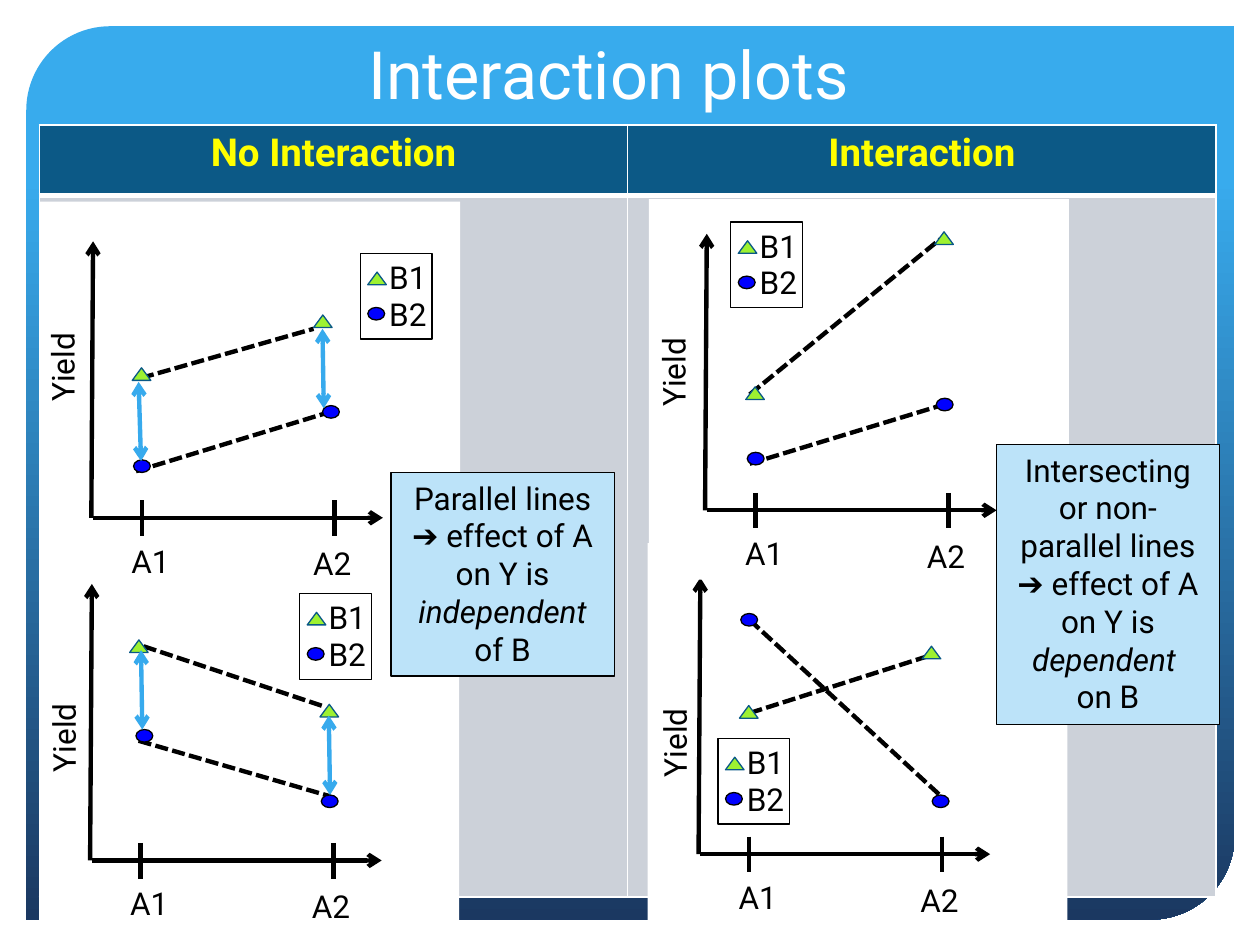
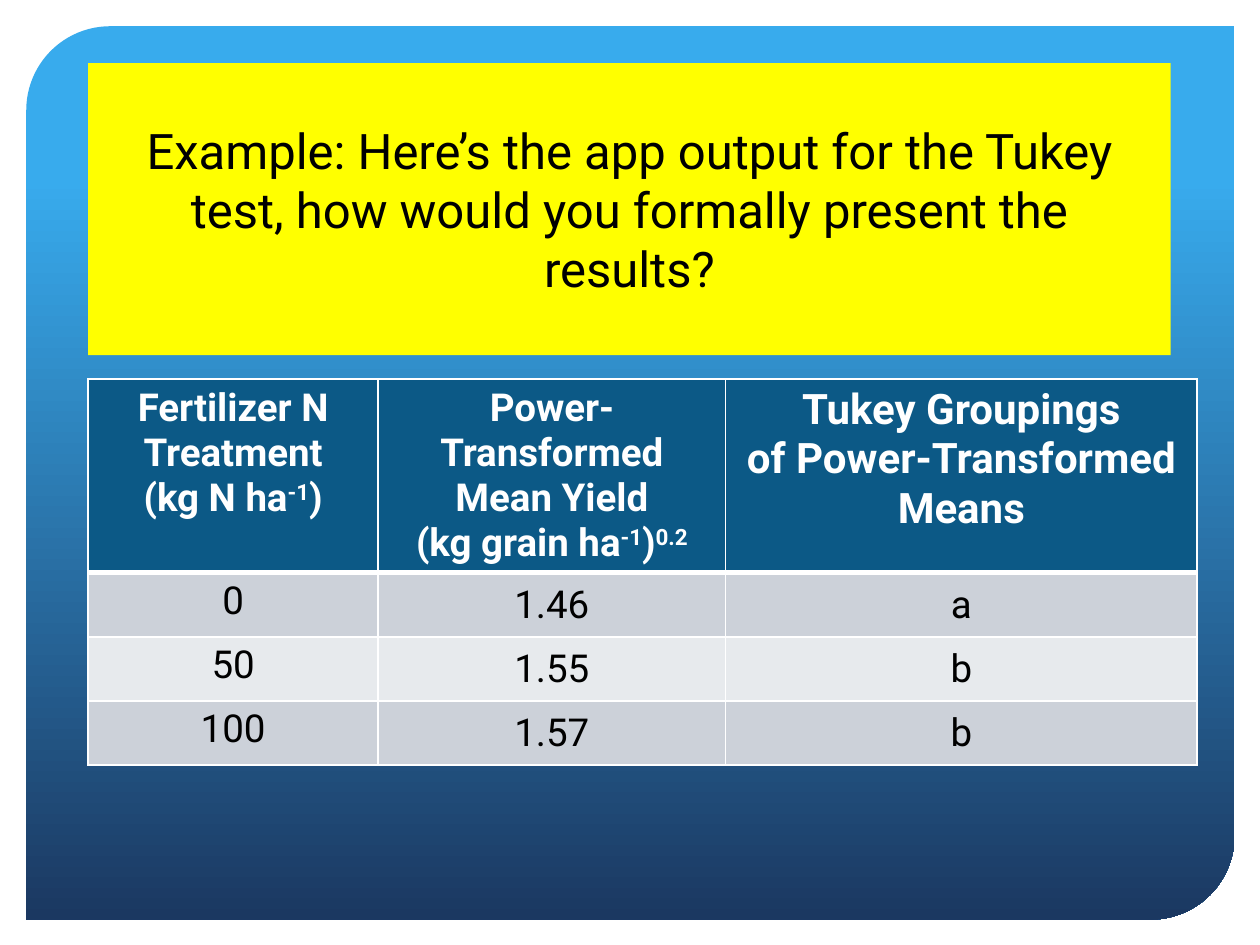
import dataclasses

import pptx
import pptx.dml.color
import pptx.enum.dml
import pptx.enum.shapes
import pptx.enum.text
import pptx.oxml
import pptx.oxml.ns
import pptx.util

Pt = pptx.util.Pt
RGBColor = pptx.dml.color.RGBColor
SHAPE = pptx.enum.shapes.MSO_SHAPE
ALIGN = pptx.enum.text.PP_ALIGN
ANCHOR = pptx.enum.text.MSO_ANCHOR

FONT = "Roboto"
BLACK = RGBColor(0, 0, 0)
WHITE = RGBColor(0xFF, 0xFF, 0xFF)
YELLOW = RGBColor(0xFF, 0xFF, 0)
SKY = RGBColor(0x38, 0xAB, 0xED)
NAVY = RGBColor(0x1B, 0x38, 0x61)
GAP_BLUE = RGBColor(0x37, 0xAA, 0xED)
HEADER_BLUE = RGBColor(0x0C, 0x59, 0x86)
GREY = RGBColor(0xCC, 0xD1, 0xD9)
PALE_GREY = RGBColor(0xE7, 0xEA, 0xED)
PALE_BLUE = RGBColor(0xBC, 0xE3, 0xF9)
GREEN = RGBColor(0x9D, 0xF1, 0x31)
GREEN_EDGE = RGBColor(0x09, 0x58, 0x86)
BLUE = RGBColor(0, 0, 0xFF)


@dataclasses.dataclass
class Plot:
    """One interaction plot; every point is relative to the panel's corner."""
    panel: tuple
    axis: tuple
    yield_at: tuple
    legend: tuple
    b1_line: tuple
    b2_line: tuple
    b1_marks: tuple
    b2_marks: tuple
    gaps: tuple = ()


PLOTS = [
    Plot((370, 310.3), (30.2, 177.8), (-26.6, 84.2), (40.3, 111.6),
         (58.3, 97.2, 159.8, 64.8), (58.3, 43.9, 167, 144),
         ((52.6, 92.9), (157, 59)), ((53.3, 40.3), (162.7, 144))),
    Plot((370.8, 113.8), (33.1, 177.8), (-28.1, 69.1), (46.8, 13),
         (57.6, 111.6, 166.3, 23), (57.6, 151.2, 168.5, 117.4),
         ((55.4, 107.3), (163.4, 18.7)), ((56.2, 144.7), (164.2, 113.8))),
    Plot((22.3, 313.9), (30.2, 177.8), (-28.1, 77.8), (149, 25.2),
         (59.8, 55.4, 163.4, 90), (56.9, 109.4, 166.3, 141.1),
         ((51.8, 51.8), (160.6, 88.6)), ((55.4, 103), (161.3, 140.4)),
         ((58.3, 57.6, 59, 103), (165.6, 95, 166.3, 140.4))),
    Plot((23, 115.2), (30.2, 180.7), (-29.5, 64.8), (182.9, 29.5),
         (57.6, 100.8, 156.2, 72.7), (54.7, 154.1, 165.6, 120.2),
         ((52.6, 95), (156.2, 64.8)), ((53.3, 147.6), (161.3, 116.6)),
         ((56.2, 103, 57.6, 148.3), (161.3, 72.7, 162, 118.1))),
]


def pts(*lengths):
    """Turn numbers into point lengths."""
    return [Pt(length) for length in lengths]


def style(paragraph, size, color=BLACK, bold=False, align=None):
    """Format a whole paragraph."""
    paragraph.alignment = align
    font = paragraph.font
    font.name, font.size, font.bold = FONT, Pt(size), bold
    font.color.rgb = color


def add_box(slide, kind, box, fill=None, edge=None):
    """Add a preset shape with an optional fill and thin outline."""
    shape = slide.shapes.add_shape(kind, *pts(*box))
    shape.shadow.inherit = False
    if fill is None:
        shape.fill.background()
    else:
        shape.fill.solid()
        shape.fill.fore_color.rgb = fill
    if edge is None:
        shape.line.fill.background()
    else:
        shape.line.color.rgb = edge
        shape.line.width = Pt(0.75)
    return shape


def add_line(slide, ends, color=BLACK, dashed=False, arrows=()):
    """Add a straight line, with arrowheads at the ends named in arrows."""
    straight = pptx.enum.shapes.MSO_CONNECTOR.STRAIGHT
    connector = slide.shapes.add_connector(straight, *pts(*ends))
    connector.line.color.rgb = color
    connector.line.width = Pt(2.5)
    if dashed:
        connector.line.dash_style = pptx.enum.dml.MSO_LINE.SQUARE_DOT
    properties = connector.element.spPr
    outline = properties.find(pptx.oxml.ns.qn("a:ln"))
    for end in arrows:
        outline.append(pptx.oxml.parse_xml(
            f'<a:{end} {pptx.oxml.ns.nsdecls("a")} type="arrow"/>'))
    properties.append(pptx.oxml.parse_xml(
        f'<a:effectLst {pptx.oxml.ns.nsdecls("a")}/>'))


def add_label(slide, text, left, top, width=46.8, rotation=0):
    """Add a one-line plot label."""
    label = slide.shapes.add_textbox(*pts(left, top, width, 29))
    label.rotation = rotation
    label.text_frame.word_wrap = True
    label.text_frame.text = text
    style(label.text_frame.paragraphs[0], 18)


def add_b1_mark(slide, left, top):
    """Add the green triangle of series B1."""
    add_box(slide, SHAPE.ISOSCELES_TRIANGLE, (left, top, 10.6, 7.2), GREEN, GREEN_EDGE)


def add_b2_mark(slide, left, top):
    """Add the blue dot of series B2."""
    add_box(slide, SHAPE.OVAL, (left, top, 9.6, 7.2), BLUE, BLACK)


def add_legend(slide, left, top):
    """Add the boxed key of the two series."""
    add_label(slide, "B1", left + 9.4, top - 0.7)
    add_label(slide, "B2", left + 9.4, top + 20.2)
    add_b1_mark(slide, left + 4.3, top + 10.8)
    add_b2_mark(slide, left + 4.3, top + 31)
    add_box(slide, SHAPE.RECTANGLE, (left, top, 41, 49), edge=BLACK)


def add_plot(slide, plot):
    """Draw one plot: panel, axes, series, marks, legend and gap arrows."""
    left, top = plot.panel

    def shift(points):
        return [value + (left, top)[i % 2] for i, value in enumerate(points)]

    add_box(slide, SHAPE.RECTANGLE, (left, top, 240, 217.4), WHITE)
    x, y = shift(plot.axis)
    add_line(slide, (x, y, x + 165.6, y), arrows=["tailEnd"])
    add_line(slide, (x - 1, y, x, y - 158), arrows=["tailEnd"])
    for series in (plot.b1_line, plot.b2_line):
        add_line(slide, shift(series), dashed=True)
    for level, tick, label_x, label_y in (("A1", 27.8, 14.8, 10.1), ("A2", 138, 118.6, 11.5)):
        add_line(slide, (x + tick, y - 10, x + tick, y + 10.4))
        add_label(slide, level, x + label_x, y + label_y)
    add_label(slide, "Yield", *shift(plot.yield_at), width=84.2, rotation=270)
    for mark in plot.b1_marks:
        add_b1_mark(slide, *shift(mark))
    for mark in plot.b2_marks:
        add_b2_mark(slide, *shift(mark))
    add_legend(slide, *shift(plot.legend))
    for gap in plot.gaps:
        add_line(slide, shift(gap), GAP_BLUE, arrows=["headEnd", "tailEnd"])


def add_callout(slide, box, paragraphs):
    """Add a pale blue note; each paragraph lists (text, italic) pairs."""
    callout = add_box(slide, SHAPE.RECTANGLE, box, PALE_BLUE, BLACK)
    frame = callout.text_frame
    frame.word_wrap = True
    frame.vertical_anchor = ANCHOR.TOP
    for i, pieces in enumerate(paragraphs):
        paragraph = frame.add_paragraph() if i else frame.paragraphs[0]
        style(paragraph, 18, align=ALIGN.CENTER)
        for text, italic in pieces:
            run = paragraph.add_run()
            run.text = text
            run.font.italic = italic


def set_title(slide, text, box, size, color, anchor):
    """Place and format the title placeholder."""
    title = slide.shapes.title
    title.left, title.top, title.width, title.height = pts(*box)
    frame = title.text_frame
    frame.text = text
    frame.word_wrap = True
    frame.auto_size = pptx.enum.text.MSO_AUTO_SIZE.NONE
    frame.vertical_anchor = anchor
    style(frame.paragraphs[0], size, color, align=ALIGN.CENTER)
    return title


def format_cell(cell, fill, bottom=1):
    """Give a cell white borders and a fill."""
    properties = cell._tc.get_or_add_tcPr()
    for side, width in (("L", 1), ("R", 1), ("T", 1), ("B", bottom)):
        properties.append(pptx.oxml.parse_xml(
            f'<a:ln{side} {pptx.oxml.ns.nsdecls("a")} w="{Pt(width)}">'
            f'<a:solidFill><a:srgbClr val="{WHITE}"/></a:solidFill></a:ln{side}>'))
    cell.fill.solid()
    cell.fill.fore_color.rgb = fill


def fill_cell(cell, lines, size, color=BLACK, bold=False):
    """Write centred lines; the text after each ^ up to the next one is raised."""
    for i, line in enumerate(lines):
        paragraph = cell.text_frame.add_paragraph() if i else cell.text_frame.paragraphs[0]
        style(paragraph, size, color, bold, ALIGN.CENTER)
        for j, piece in enumerate(line.split("^")):
            if piece:
                run = paragraph.add_run()
                run.text = piece
                if j % 2:
                    run._r.get_or_add_rPr().set("baseline", "30000")


def add_grid(slide, box, widths, heights):
    """Add a table with the given column widths and row heights."""
    table = slide.shapes.add_table(len(heights), len(widths), *pts(*box)).table
    for column, width in zip(table.columns, widths):
        column.width = Pt(width)
    for row, height in zip(table.rows, heights):
        row.height = Pt(height)
    return table


def add_backdrop(master, slide):
    """Put the gradient panel on the slide master."""
    backdrop = add_box(slide, SHAPE.ROUND_2_DIAG_RECTANGLE, (15, 15, 690.5, 510.5), SKY)
    backdrop.adjustments[0], backdrop.adjustments[1] = 0.094, 0
    backdrop.fill.gradient()
    backdrop.fill.gradient_angle = 270
    for stop, position, color in zip(backdrop.fill.gradient_stops, (0.17, 1), (SKY, NAVY)):
        stop.position = position
        stop.color.rgb = color
    master.shapes.element.insert(2, backdrop.element)


def build_interaction_slide(slide):
    """Compare plots without and with interaction."""
    set_title(slide, "Interaction plots ", (54, 15, 597, 82), 38, WHITE, ANCHOR.TOP)
    table = add_grid(slide, (22.5, 71.3, 672.4, 441.4), (336.2, 336.2), (40.3, 401))
    for column, heading in enumerate(("No Interaction", "Interaction")):
        format_cell(table.cell(0, column), HEADER_BLUE, bottom=3)
        fill_cell(table.cell(0, column), [heading], 22, YELLOW, True)
        format_cell(table.cell(1, column), GREY)
    for plot in PLOTS:
        add_plot(slide, plot)
    add_callout(slide, (223.4, 270, 127.6, 116.4), [
        [("Parallel lines ➔ effect of A on Y is ", False),
         ("independent ", True), ("of B", False)]])
    add_callout(slide, (569.3, 254, 127.6, 160), [
        [("Intersecting or non-parallel lines ➔ effect of A on Y is ", False),
         ("dependent ", True)],
        [("on B", False)]])


def build_tukey_slide(slide):
    """Show the Tukey output table under its question."""
    question = set_title(
        slide, "Example: Here’s the app output for the Tukey test, "
        "how would you formally present the results?",
        (50.4, 36, 618.5, 167), 28, BLACK, ANCHOR.MIDDLE)
    question.fill.solid()
    question.fill.fore_color.rgb = YELLOW
    headings = [(["Fertilizer N Treatment", "(kg N ha^-1^)"], 22),
                (["Power-Transformed Mean Yield", "(kg grain ha^-1^)^0.2^"], 22),
                (["Tukey Groupings", "of Power-Transformed Means"], 24)]
    results = [("0", "1.46", "a"), ("50", "1.55", "b"), ("100", "1.57", "b")]
    table = add_grid(slide, (50.4, 216.7, 633.6, 220.4), (165.6, 198.7, 269.3),
                     (110.6, 36.6, 36.6, 36.6))
    for column, (lines, size) in enumerate(headings):
        format_cell(table.cell(0, column), HEADER_BLUE, bottom=3)
        fill_cell(table.cell(0, column), lines, size, WHITE, True)
    for row, values in enumerate(results, 1):
        for column, value in enumerate(values):
            cell = table.cell(row, column)
            format_cell(cell, GREY if row % 2 else PALE_GREY)
            fill_cell(cell, [value], 22)
            if column:
                cell.vertical_anchor = ANCHOR.MIDDLE
                cell.margin_left = cell.margin_right = cell.margin_top = Pt(0.7)
                cell.margin_bottom = Pt(0)


def main():
    """Build and save the deck."""
    deck = pptx.Presentation()
    deck.slide_width, deck.slide_height = pts(720, 540)
    interaction, tukey = [deck.slides.add_slide(deck.slide_layouts[5]) for _ in range(2)]
    add_backdrop(deck.slide_master, interaction)
    build_interaction_slide(interaction)
    build_tukey_slide(tukey)
    deck.save("out.pptx")


if __name__ == "__main__":
    main()
